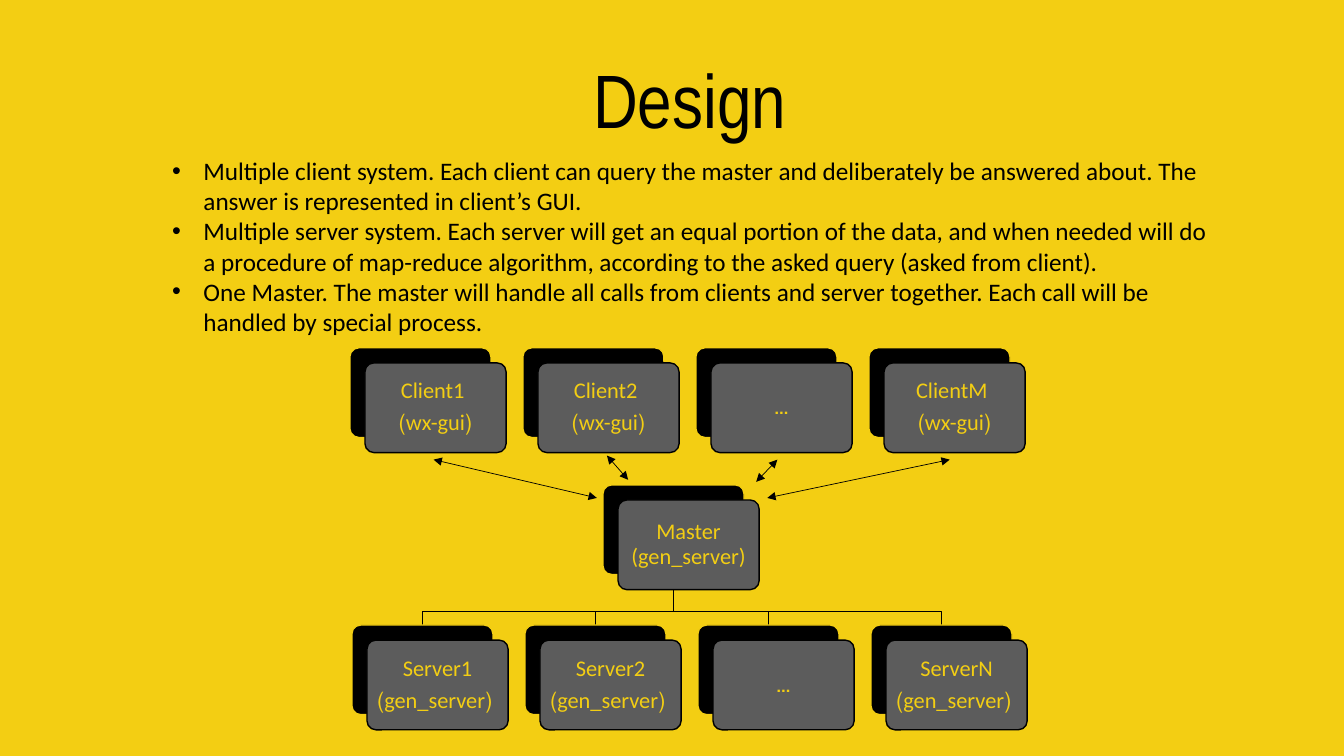
import dataclasses

import lxml.etree
import pptx
import pptx.dml.color
import pptx.enum.shapes
import pptx.enum.text
import pptx.oxml.ns
import pptx.util

Inches = pptx.util.Inches
Pt = pptx.util.Pt
qn = pptx.oxml.ns.qn
ALIGN = pptx.enum.text.PP_ALIGN


@dataclasses.dataclass(frozen=True)
class Theme:
    yellow: str = "F3CE13"
    black: str = "000000"
    gray: str = "5C5C5C"
    title_font: str = "Arial Narrow"
    body_font: str = "Calibri"
    title_size: float = 54
    body_size: float = 18
    card_size: float = 16
    tree_width: float = 1
    arrow_width: float = 0.5


def rgb(value):
    return pptx.dml.color.RGBColor.from_string(value)


def write(tf, text, *, font, size, color, align=ALIGN.LEFT, rtl=False,
          spacing=None, after=None, bullet=None, indent=0.31):
    """Fill a text frame, one paragraph for each line of text."""
    for i, line in enumerate(text.split("\n")):
        p = tf.paragraphs[0] if i == 0 else tf.add_paragraph()
        p.alignment = align
        if spacing:
            p.line_spacing = spacing
        if after:
            p.space_after = Pt(after)
        r = p.add_run()
        r.text = line
        r.font.name = font
        r.font.size = Pt(size)
        r.font.color.rgb = rgb(color)
        pPr = p._p.get_or_add_pPr()
        if rtl:
            pPr.set("rtl", "1")
        if bullet:
            pPr.set("marL", str(Inches(indent)))
            pPr.set("indent", str(-Inches(indent)))
            lxml.etree.SubElement(pPr, qn("a:buFont")).set("typeface", "Arial")
            lxml.etree.SubElement(pPr, qn("a:buChar")).set("char", bullet)


class SlideBuilder:
    CARD_W, CARD_H = 1.4, 0.89
    OFFSET = 0.15

    def __init__(self, slide, theme):
        self.s = slide
        self.theme = theme
        fill = slide.background.fill
        fill.solid()
        fill.fore_color.rgb = rgb(theme.yellow)

    def text_box(self, x, y, w, h, text, wrap=True, **fmt):
        tf = self.s.shapes.add_textbox(
            Inches(x), Inches(y), Inches(w), Inches(h)).text_frame
        tf.word_wrap = wrap
        tf.auto_size = pptx.enum.text.MSO_AUTO_SIZE.SHAPE_TO_FIT_TEXT
        write(tf, text, color=self.theme.black, **fmt)

    def plate(self, x, y, fill, line):
        sp = self.s.shapes.add_shape(
            pptx.enum.shapes.MSO_SHAPE.ROUNDED_RECTANGLE,
            Inches(x), Inches(y), Inches(self.CARD_W), Inches(self.CARD_H))
        sp.adjustments[0] = 0.1
        sp.shadow.inherit = False
        sp.fill.solid()
        sp.fill.fore_color.rgb = rgb(fill)
        sp.line.color.rgb = rgb(line)
        sp.line.width = Pt(1)
        return sp

    def card(self, x, y, text):
        """Black plate with a labelled gray plate set off in front of it."""
        t = self.theme
        self.plate(x, y, t.black, t.yellow)
        sp = self.plate(x + self.OFFSET, y + self.OFFSET, t.gray, t.black)
        tf = sp.text_frame
        tf.word_wrap = True
        tf.vertical_anchor = pptx.enum.text.MSO_ANCHOR.MIDDLE
        tf.margin_left = tf.margin_right = Inches(0.07)
        tf.margin_top = tf.margin_bottom = Inches(0.07)
        write(tf, text, font=t.body_font, size=t.card_size, color=t.yellow,
              align=ALIGN.CENTER, rtl=True, spacing=0.9, after=5.6)

    def branch(self, points):
        (x, y), *rest = [(Inches(px), Inches(py)) for px, py in points]
        builder = self.s.shapes.build_freeform(x, y)
        builder.add_line_segments(rest, close=False)
        sp = builder.convert_to_shape()
        sp.shadow.inherit = False
        sp.fill.background()
        sp.line.color.rgb = rgb(self.theme.black)
        sp.line.width = Pt(self.theme.tree_width)

    def double_arrow(self, x1, y1, x2, y2):
        sp = self.s.shapes.add_connector(
            pptx.enum.shapes.MSO_CONNECTOR.STRAIGHT,
            Inches(x1), Inches(y1), Inches(x2), Inches(y2))
        sp.line.color.rgb = rgb(self.theme.black)
        sp.line.width = Pt(self.theme.arrow_width)
        ln = sp.line._get_or_add_ln()
        for end in ("a:headEnd", "a:tailEnd"):
            lxml.etree.SubElement(ln, qn(end)).set("type", "triangle")
        lxml.etree.SubElement(sp._element.spPr, qn("a:effectLst"))


BULLETS = "\n".join([
    "Multiple client system. Each client can query the master and deliberately "
    "be answered about. The answer is represented in client’s GUI.",
    "Multiple server system. Each server will get an equal portion of the data, "
    "and when needed will do a procedure of map-reduce algorithm, according to "
    "the asked query (asked from client).",
    "One Master. The master will handle all calls from clients and server "
    "together. Each call will be handled by special process.",
])
CLIENTS = [" Client1\n(wx-gui)", " Client2\n(wx-gui)", "…", " ClientM\n(wx-gui)"]
SERVERS = ["Server1\n (gen_server)", "Server2\n (gen_server)", "…",
           "ServerN\n (gen_server)"]
PITCH = 1.716
CLIENT_X, CLIENT_Y = 3.47, 3.45
MASTER_X, MASTER_Y = 5.98, 4.81
SERVER_X, SERVER_Y = 3.49, 6.2
BUS_Y = 6.07


def main():
    prs = pptx.Presentation()
    prs.slide_width, prs.slide_height = Inches(13.33), Inches(7.5)
    theme = Theme()
    s = SlideBuilder(prs.slides.add_slide(prs.slide_layouts[6]), theme)

    # Tree from the master down to the servers
    half = s.CARD_W / 2
    stem_x, stem_y = MASTER_X + half, MASTER_Y + s.CARD_H
    for i in reversed(range(len(SERVERS))):
        x = SERVER_X + i * PITCH + half
        s.branch([(stem_x, stem_y), (stem_x, BUS_Y), (x, BUS_Y), (x, SERVER_Y)])

    # Clients, master and servers
    for i, label in enumerate(CLIENTS):
        s.card(CLIENT_X + i * PITCH, CLIENT_Y, label)
    s.card(MASTER_X, MASTER_Y, "Master (gen_server)")
    for i, label in enumerate(SERVERS):
        s.card(SERVER_X + i * PITCH, SERVER_Y, label)

    # Title
    s.text_box(5.66, 0.48, 2.36, 1.01, "Design", wrap=False,
               font=theme.title_font, size=theme.title_size,
               align=ALIGN.CENTER, rtl=True)

    # Two-way calls between clients and master
    for ends in [(9.42, 4.56, 7.61, 4.94), (7.71, 4.56, 7.5, 4.78),
                 (4.3, 4.56, 5.92, 4.94), (6.02, 4.52, 6.23, 4.76)]:
        s.double_arrow(*ends)

    # Description
    s.text_box(1.61, 1.49, 10.53, 1.92, BULLETS, font=theme.body_font,
               size=theme.body_size, bullet="•")

    prs.save("out.pptx")


if __name__ == "__main__":
    main()
